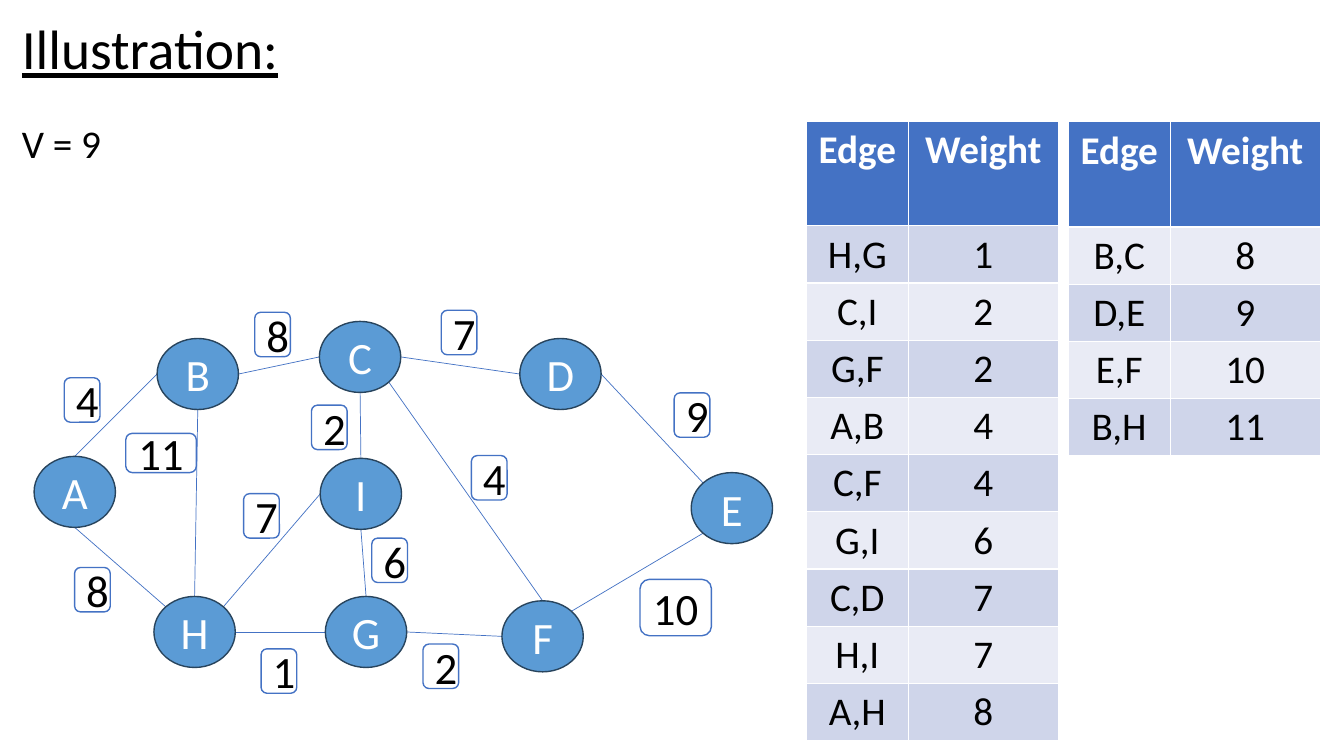
from lxml import etree
from pptx import Presentation
from pptx import util as u
from pptx.dml.color import RGBColor
from pptx.enum import shapes, text
from pptx.oxml.ns import qn

BLACK = RGBColor(0x00, 0x00, 0x00)
WHITE = RGBColor(0xFF, 0xFF, 0xFF)
BLUE = RGBColor(0x44, 0x72, 0xC4)
NODE_FILL = RGBColor(0x5B, 0x9B, 0xD5)
NODE_LINE = RGBColor(0x28, 0x44, 0x5D)
DARK_BAND = RGBColor(0xCF, 0xD5, 0xEA)
LIGHT_BAND = RGBColor(0xE9, 0xEB, 0xF5)

NODE_WIDTH, NODE_HEIGHT = 2.05, 1.79
NODES = {
    "A": (0, 3.68), "B": (3.1, 0.71), "C": (7.19, 0.28),
    "D": (12.24, 0.71), "E": (16.56, 4.09), "F": (11.79, 7.32),
    "G": (7.34, 7.21), "H": (3.02, 7.21), "I": (7.21, 3.73),
}
SITES = {
    "top": (0.5, 0), "bottom": (0.5, 1), "left": (0, 0.5), "right": (1, 0.5),
    "top left": (0.15, 0.15), "top right": (0.85, 0.15),
    "bottom left": (0.15, 0.85), "bottom right": (0.85, 0.85),
}
SMALL = (0.9, 1.12)
EDGES = [
    ("B", "right", "C", "left", "8", (5.56, 0.05), SMALL),
    ("B", "bottom", "H", "top", "11", (2.31, 3.1), (1.78, 0.99)),
    ("D", "left", "C", "right", "7", (10.26, 0), SMALL),
    ("A", "bottom", "H", "top left", "8", (1.02, 6.48), SMALL),
    ("G", "right", "F", "left", "2", (9.8, 8.41), SMALL),
    ("E", "top left", "D", "right", "9", (16.13, 2.08), SMALL),
    ("F", "top", "C", "bottom right", "4", (11.02, 3.66), SMALL),
    ("E", "bottom left", "F", "top right", "10", (15.27, 6.78), (1.8, 1.42)),
    ("B", "left", "A", "top", "4", (0.76, 1.7), SMALL),
    ("H", "right", "G", "left", "1", (5.72, 8.53), SMALL),
    ("I", "bottom", "G", "top", "6", (8.51, 5.74), SMALL),
    ("C", "bottom", "I", "top", "2", (6.99, 2.39), SMALL),
    ("I", "left", "H", "top right", "7", (5.28, 4.62), SMALL),
]
HEADER = ("Edge", "Weight")
FIRST_ROWS = [("H,G", "1"), ("C,I", "2"), ("G,F", "2"), ("A,B", "4"), ("C,F", "4"),
              ("G,I", "6"), ("C,D", "7"), ("H,I", "7"), ("A,H", "8")]
LAST_ROWS = [("B,C", "8"), ("D,E", "9"), ("E,F", "10"), ("B,H", "11")]
COLUMN_WIDTHS = (2.57, 3.78)
HEADER_HEIGHT, ROW_HEIGHT = 2.64, 1.44


def style_font(para, size, color):
    """Set the common font of a paragraph."""
    para.font.name = "Calibri"
    para.font.size = u.Pt(size)
    para.font.color.rgb = color


def add_text(page, left, top, width, height, words, size):
    """Add a line of text and return its frame."""
    box = page.shapes.add_textbox(u.Cm(left), u.Cm(top), u.Cm(width), u.Cm(height))
    frame = box.text_frame
    frame.word_wrap = True
    para = frame.paragraphs[0]
    para.text = words
    para.line_spacing = 0.9
    style_font(para, size, BLACK)
    return frame


def add_label(page, kind, left, top, size, words, fill, line, color):
    """Add a filled shape with centred text."""
    width, height = size
    shape = page.shapes.add_shape(kind, u.Cm(left), u.Cm(top), u.Cm(width), u.Cm(height))
    shape.shadow.inherit = False
    shape.fill.solid()
    shape.fill.fore_color.rgb = fill
    shape.line.color.rgb = line
    shape.line.width = u.Pt(1)
    shape.text_frame.vertical_anchor = text.MSO_ANCHOR.MIDDLE
    para = shape.text_frame.paragraphs[0]
    para.text = words
    para.alignment = text.PP_ALIGN.CENTER
    style_font(para, 32, color)


def add_edge(page, start, end):
    """Draw a thin line between two points."""
    line = page.shapes.add_connector(
        shapes.MSO_CONNECTOR.STRAIGHT, *(u.Cm(value) for value in start + end))
    line.line.color.rgb = BLUE
    line.line.width = u.Pt(0.5)
    etree.SubElement(line._element.spPr, qn("a:effectLst"))


def add_graph(page, left, top):
    """Draw the weighted graph from its top left corner."""
    def site_point(node, site):
        """Find where an edge meets a node."""
        (x, y), (across, down) = NODES[node], SITES[site]
        return left + x + across * NODE_WIDTH, top + y + down * NODE_HEIGHT

    for start, start_site, end, end_site, *_ in EDGES:
        add_edge(page, site_point(start, start_site), site_point(end, end_site))
    for name, (x, y) in NODES.items():
        add_label(page, shapes.MSO_SHAPE.FLOWCHART_CONNECTOR, left + x, top + y,
                  (NODE_WIDTH, NODE_HEIGHT), name, NODE_FILL, NODE_LINE, WHITE)
    for *_, weight, (x, y), size in EDGES:
        add_label(page, shapes.MSO_SHAPE.ROUNDED_RECTANGLE, left + x, top + y,
                  size, weight, WHITE, BLUE, BLACK)


def add_weights(page, left, top, rows):
    """Add a banded table of edges and weights, with or without its header."""
    heights = [HEADER_HEIGHT if row == HEADER else ROW_HEIGHT for row in rows]
    table = page.shapes.add_table(
        len(rows), len(HEADER), u.Cm(left), u.Cm(top),
        u.Cm(sum(COLUMN_WIDTHS)), u.Cm(sum(heights))).table
    for column, width in zip(table.columns, COLUMN_WIDTHS):
        column.width = u.Cm(width)
    for index, (row, height) in enumerate(zip(rows, heights)):
        table.rows[index].height = u.Cm(height)
        is_header = row == HEADER
        band = DARK_BAND if index % 2 else LIGHT_BAND
        for cell, words in zip(table.rows[index].cells, row):
            cell.fill.solid()
            cell.fill.fore_color.rgb = BLUE if is_header else band
            para = cell.text_frame.paragraphs[0]
            para.text = words
            para.alignment = text.PP_ALIGN.CENTER
            style_font(para, 28, WHITE if is_header else BLACK)
            para.font.bold = is_header


def main():
    """Build and save the slide."""
    deck = Presentation()
    deck.slide_width, deck.slide_height = u.Cm(33.87), u.Cm(19.05)
    page = deck.slides.add_slide(deck.slide_layouts[6])
    body = add_text(page, 0.3, 3.02, 32.69, 15.65, "V = 9", 28)
    body.paragraphs[0].space_before = u.Pt(10)
    add_graph(page, 0.86, 7.82)
    add_weights(page, 20.32, 3.05, [HEADER] + FIRST_ROWS)
    add_weights(page, 26.92, 5.72, LAST_ROWS)
    add_weights(page, 26.92, 3.07, [HEADER])
    title = add_text(page, 0.3, 0.48, 28.98, 1.65, "Illustration:", 39.6)
    title.vertical_anchor = text.MSO_ANCHOR.MIDDLE
    title.paragraphs[0].font.underline = True
    deck.save("out.pptx")


if __name__ == "__main__":
    main()
